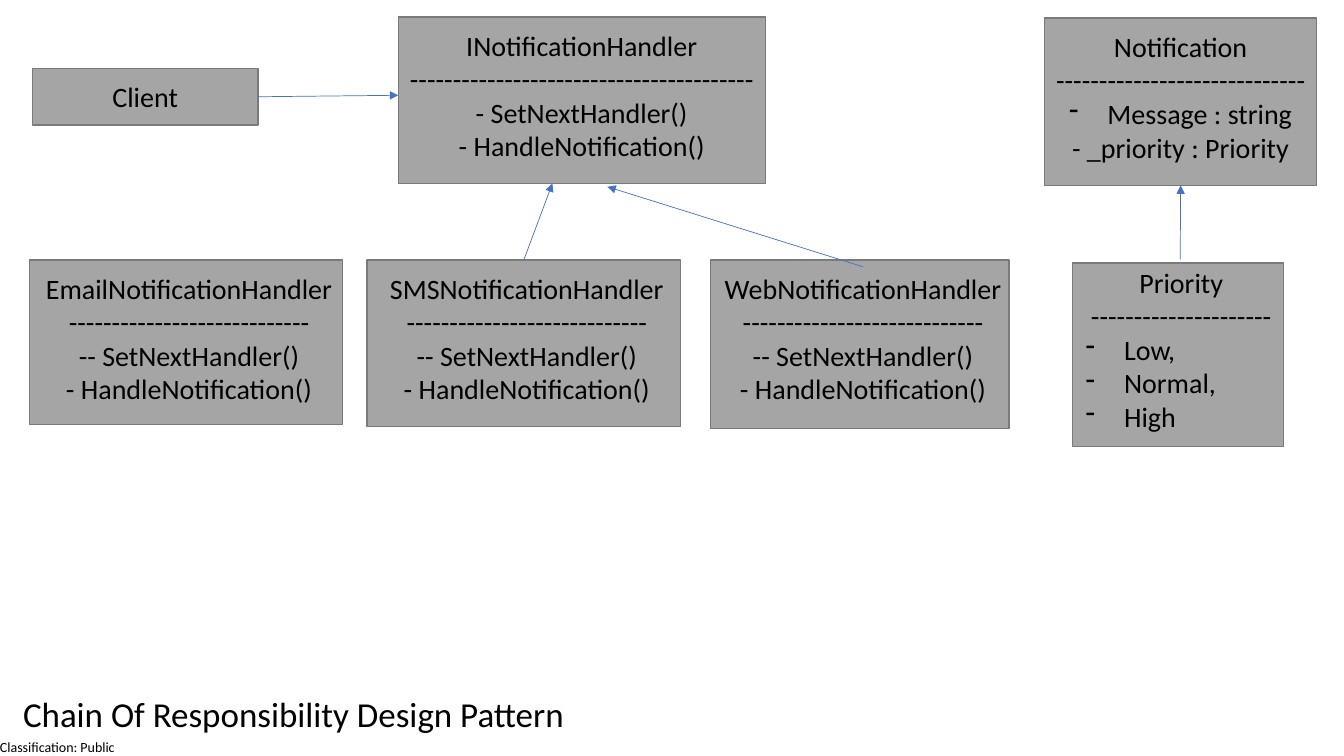
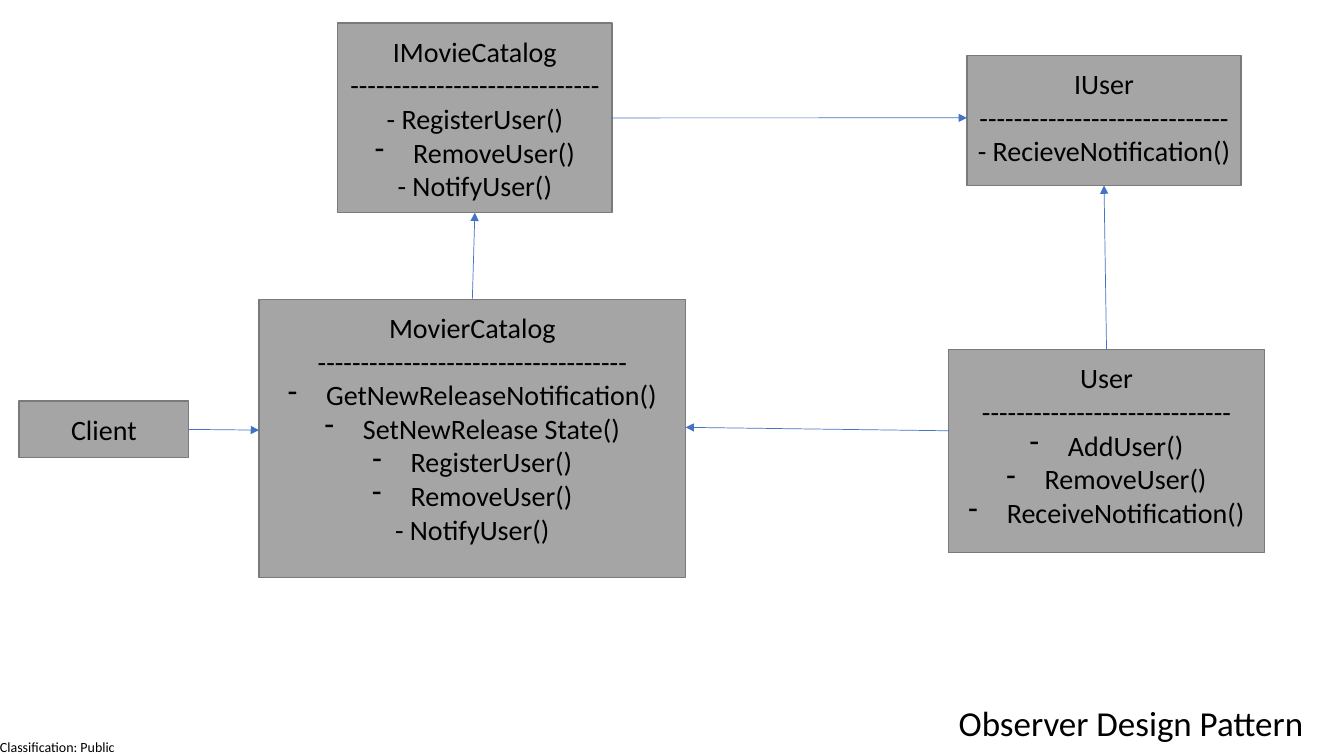
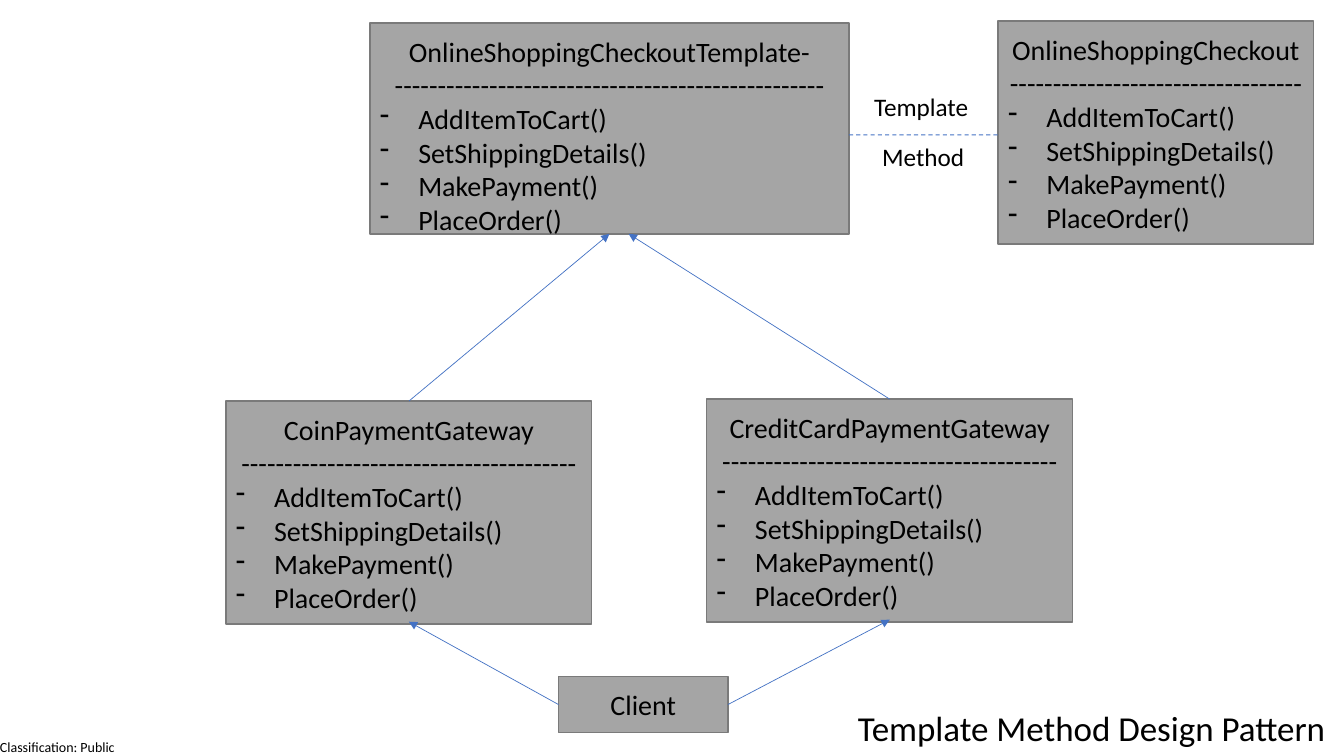
from dataclasses import dataclass

from pptx import Presentation
from pptx.dml.color import RGBColor
from pptx.enum import dml, shapes, text
from pptx.oxml import ns, xmlchemy
from pptx.util import Inches, Pt


@dataclass(frozen=True)
class Theme:
    """Colours, type sizes and line widths shared by every slide."""
    font: str = "Calibri"
    ink: str = "000000"
    fill: str = "A5A5A5"
    border: str = "7A7A7A"
    arrow: str = "4472C4"
    title: int = 25
    body: int = 20
    caption: int = 18
    footer: int = 10
    border_width: float = 1
    arrow_width: float = 0.5
    dash_width: float = 0.75
    hang: float = 0.38


@dataclass(frozen=True)
class Box:
    """A rectangle in inches."""
    left: float
    top: float
    width: float
    height: float

    def spot(self, across, down):
        """Return the point at the given fractions of width and height."""
        return self.left + across * self.width, self.top + down * self.height

    def lengths(self):
        """Return the four lengths that python-pptx expects."""
        return [Inches(n) for n in (self.left, self.top, self.width, self.height)]


@dataclass(frozen=True)
class Item:
    """A line with a dash bullet."""
    text: str
    centred: bool = True


THEME = Theme()
TOP, BOTTOM, LEFT, RIGHT = (0.5, 0), (0.5, 1), (0, 0.5), (1, 0.5)


def add_child(parent, tag, **attributes):
    """Append a drawing element to the parent."""
    child = xmlchemy.OxmlElement(tag)
    for name, value in attributes.items():
        child.set(name, value)
    parent.append(child)


def add_bullet(para):
    """Give the paragraph a hanging dash bullet."""
    properties = para._p.get_or_add_pPr()
    properties.set("marL", str(Inches(THEME.hang)))
    properties.set("indent", str(-Inches(THEME.hang)))
    add_child(properties, "a:buFontTx")
    add_child(properties, "a:buChar", char="-")


def add_text(page, box, lines, size=THEME.body, centred=False, inset=None):
    """Write the lines into a text box and return it."""
    label = page.shapes.add_textbox(*box.lengths())
    frame = label.text_frame
    frame.word_wrap = True
    frame.auto_size = text.MSO_AUTO_SIZE.SHAPE_TO_FIT_TEXT
    if inset is not None:
        frame.margin_left = frame.margin_right = Inches(inset)
        frame.margin_top = frame.margin_bottom = Inches(inset)
    for index, line in enumerate(lines):
        para = frame.add_paragraph() if index else frame.paragraphs[0]
        bulleted = isinstance(line, Item)
        if bulleted:
            add_bullet(para)
        middle = line.centred if bulleted else centred
        para.alignment = text.PP_ALIGN.CENTER if middle else text.PP_ALIGN.LEFT
        span = para.add_run()
        span.text = line.text if bulleted else line
        span.font.name = THEME.font
        span.font.size = Pt(size)
        span.font.color.rgb = RGBColor.from_string(THEME.ink)
    return label


def add_class(page, box, name, dashes=0, members=(), shift=(0, 0.06)):
    """Draw a class: its frame, name, dashed rule and members."""
    frame = page.shapes.add_shape(shapes.MSO_SHAPE.RECTANGLE, *box.lengths())
    frame.shadow.inherit = False
    frame.fill.solid()
    frame.fill.fore_color.rgb = RGBColor.from_string(THEME.fill)
    frame.line.color.rgb = RGBColor.from_string(THEME.border)
    frame.line.width = Pt(THEME.border_width)
    lines = [name, *(["-" * dashes] if dashes else []), *members]
    height = 0.11 + 0.336 * len(lines)
    area = Box(box.left + shift[0], box.top + shift[1], box.width, height)
    add_text(page, area, lines, centred=True)
    return box


def add_link(page, start, end, dashed=False):
    """Join two points with an arrow, or with a plain dashed line."""
    link = page.shapes.add_connector(
        shapes.MSO_CONNECTOR.STRAIGHT, *[Inches(n) for n in (*start, *end)])
    link.line.color.rgb = RGBColor.from_string(THEME.arrow)
    link.line.width = Pt(THEME.dash_width if dashed else THEME.arrow_width)
    properties = link.element.spPr
    if dashed:
        link.line.dash_style = dml.MSO_LINE.DASH
    else:
        add_child(properties.find(ns.qn("a:ln")), "a:tailEnd", type="triangle")
    add_child(properties, "a:effectLst")


def add_title(page, left, top, title):
    """Write the name of the design pattern."""
    add_text(page, Box(left, top, 5.92, 0.52), [title], size=THEME.title)


def add_footer(deck, page):
    """Put the classification on the slide master."""
    footer = add_text(page, Box(0, 7.33, 1.17, 0.17), ["Classification: Public"],
                      size=THEME.footer, inset=0)
    deck.slide_master.shapes.element.append(footer.element)


def draw_chain(page):
    """Draw the chain of responsibility slide."""
    members = ["SetNextHandler()", "HandleNotification()"]
    handler = add_class(page, Box(3.95, 0.17, 3.64, 1.65), "INotificationHandler",
                        40, [f"- {member}" for member in members])
    notification = add_class(page, Box(10.36, 0.18, 2.7, 1.66), "Notification", 29,
                             [Item("Message : string"), "- _priority : Priority"])
    client = add_class(page, Box(0.32, 0.68, 2.24, 0.56), "Client")
    add_title(page, 0.13, 6.82, "Chain Of Responsibility Design Pattern")
    concrete = {
        "Email": Box(0.29, 2.58, 3.11, 1.63),
        "SMS": Box(3.64, 2.58, 3.11, 1.65),
        "Web": Box(7.05, 2.58, 2.96, 1.67),
    }
    for channel, box in concrete.items():
        add_class(page, box, f"{channel}NotificationHandler", 28,
                  [f"-- {members[0]}", f"- {members[1]}"], shift=(0.03, 0.06))
    levels = [Item(level, centred=False) for level in ("Low,", "Normal,", "High")]
    priority = add_class(page, Box(10.64, 2.61, 2.09, 1.82), "Priority", 21,
                         levels, shift=(0.03, -0.03))
    add_link(page, client.spot(*RIGHT), handler.spot(0, 0.47))
    add_link(page, concrete["SMS"].spot(*TOP), handler.spot(0.42, 1))
    add_link(page, concrete["Web"].spot(0.51, 0.04), handler.spot(0.57, 1.02))
    add_link(page, priority.spot(0.51, -0.02), notification.spot(*BOTTOM))


def draw_observer(page):
    """Draw the observer slide."""
    interface = add_class(page, Box(3.35, 0.23, 2.72, 1.88), "IMovieCatalog", 29,
                          ["- RegisterUser()", Item("RemoveUser()"), "- NotifyUser()"])
    observer = add_class(page, Box(9.59, 0.55, 2.72, 1.29), "IUser", 29,
                         ["- RecieveNotification()"])
    add_title(page, 9.41, 6.91, "Observer Design Pattern")
    client = add_class(page, Box(0.19, 3.98, 1.68, 0.56), "Client")
    actions = ["GetNewReleaseNotification()", "SetNewRelease State()",
               "RegisterUser()", "RemoveUser()"]
    catalog = add_class(page, Box(2.57, 2.97, 4.23, 2.76), "MovierCatalog", 36,
                        [*map(Item, actions), "- NotifyUser()"])
    actions = ["AddUser()", "RemoveUser()", "ReceiveNotification()"]
    user = add_class(page, Box(9.41, 3.47, 3.13, 2.01), "User", 29, map(Item, actions))
    add_link(page, catalog.spot(*TOP), interface.spot(*BOTTOM))
    add_link(page, user.spot(*TOP), observer.spot(*BOTTOM))
    add_link(page, user.spot(0, 0.4), catalog.spot(1, 0.46))
    add_link(page, client.spot(*RIGHT), catalog.spot(0, 0.47))
    add_link(page, interface.spot(*RIGHT), observer.spot(0, 0.48))


def draw_template_method(page):
    """Draw the template method slide."""
    steps = [Item(step, centred=False) for step in (
        "AddItemToCart()", "SetShippingDetails()", "MakePayment()", "PlaceOrder()")]
    template = add_class(page, Box(3.67, 0.23, 4.75, 2.09),
                         "OnlineShoppingCheckoutTemplate-", 50, steps)
    checkout = add_class(page, Box(9.9, 0.21, 3.13, 2.21),
                         "OnlineShoppingCheckout", 34, steps)
    coin = add_class(page, Box(2.24, 3.98, 3.63, 2.21), "CoinPaymentGateway", 39, steps)
    card = add_class(page, Box(7.01, 3.96, 3.63, 2.21),
                     "CreditCardPaymentGateway", 39, steps)
    client = add_class(page, Box(5.54, 6.71, 1.68, 0.56), "Client")
    add_title(page, 8.41, 6.96, "Template Method Design Pattern")
    add_text(page, Box(8.57, 0.86, 1.18, 0.4), ["Template"], size=THEME.caption)
    add_text(page, Box(8.65, 1.35, 1.02, 0.4), ["Method"], size=THEME.caption)
    add_link(page, coin.spot(*TOP), template.spot(*BOTTOM))
    add_link(page, card.spot(*TOP), template.spot(0.54, 1))
    add_link(page, client.spot(*LEFT), coin.spot(0.5, 0.99))
    add_link(page, client.spot(*RIGHT), card.spot(0.5, 0.99))
    add_link(page, template.spot(1, 0.53), checkout.spot(0, 0.51), dashed=True)


def main():
    """Build the deck and save it."""
    deck = Presentation()
    deck.slide_width, deck.slide_height = Inches(13.33), Inches(7.5)
    pages = [deck.slides.add_slide(deck.slide_layouts[6]) for _ in range(3)]
    add_footer(deck, pages[0])
    for draw, page in zip((draw_chain, draw_observer, draw_template_method), pages):
        draw(page)
    deck.save("out.pptx")


main()
